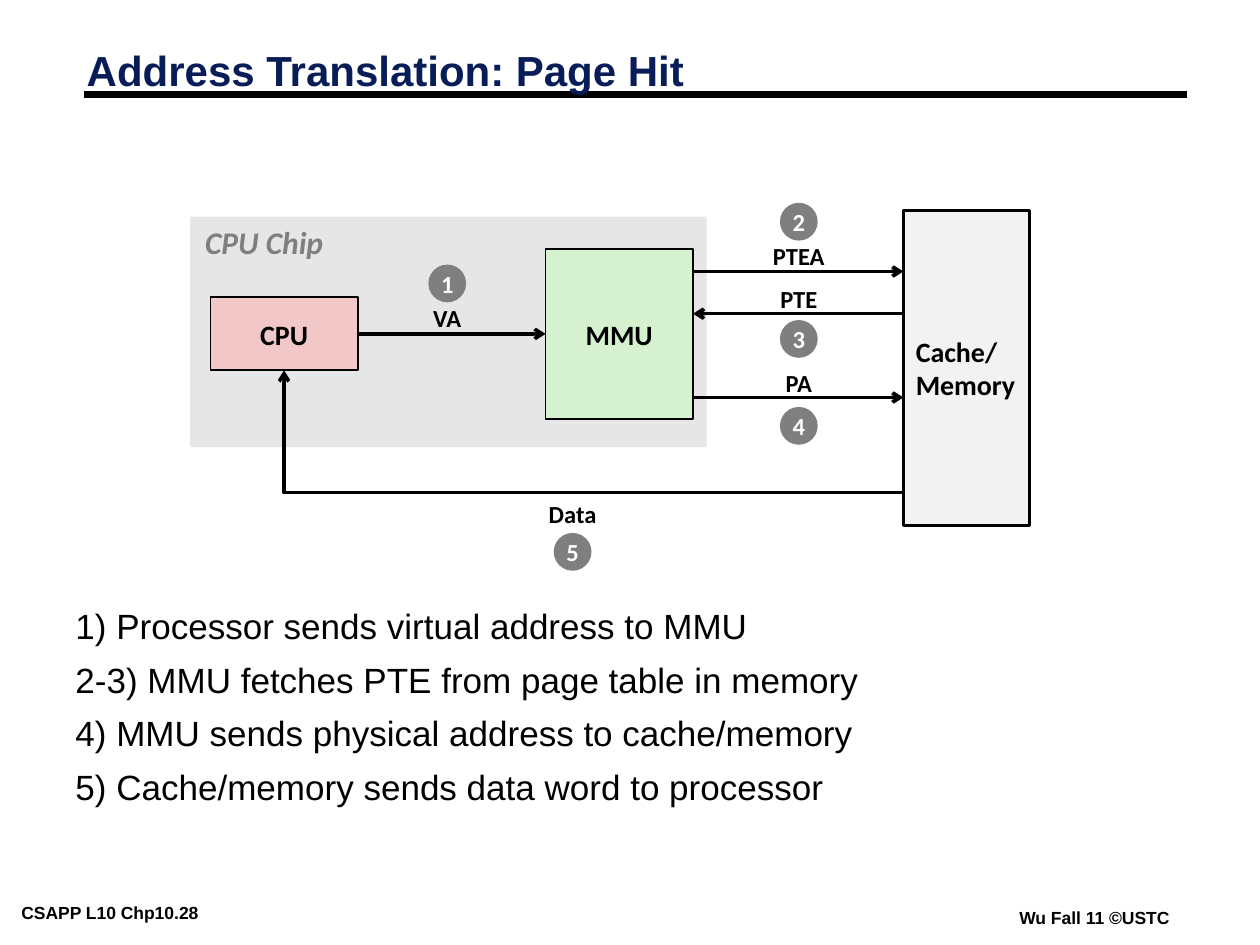
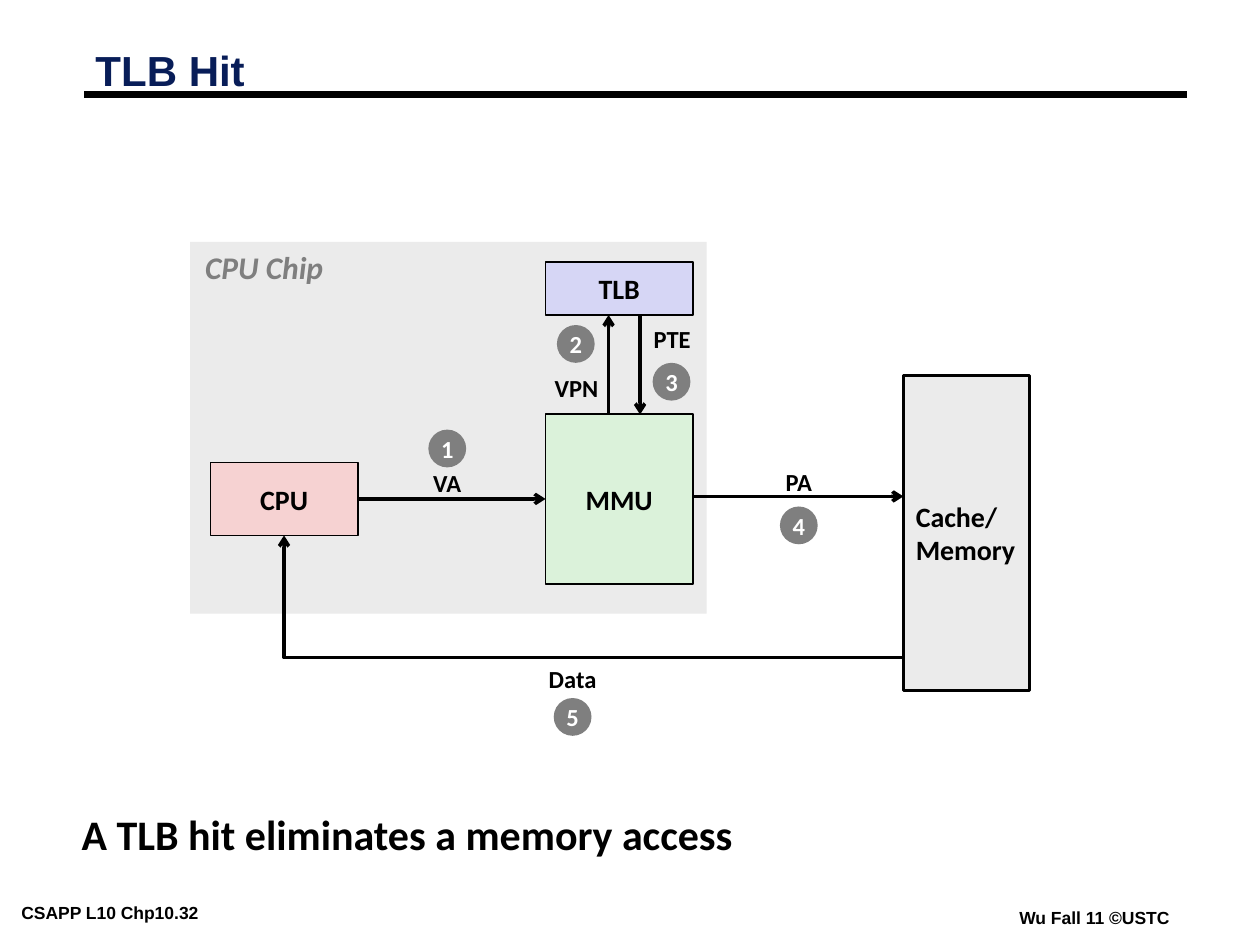
from dataclasses import dataclass

from lxml import etree
from pptx import Presentation
from pptx.dml.color import RGBColor
from pptx.enum.shapes import MSO_CONNECTOR, MSO_SHAPE
from pptx.enum.text import MSO_ANCHOR, PP_ALIGN
from pptx.oxml.ns import qn
from pptx.util import Inches, Pt

RECTANGLE, OVAL = MSO_SHAPE.RECTANGLE, MSO_SHAPE.OVAL
STRAIGHT, ELBOW = MSO_CONNECTOR.STRAIGHT, MSO_CONNECTOR.ELBOW
LEFT, CENTER = PP_ALIGN.LEFT, PP_ALIGN.CENTER
TOP, MIDDLE = MSO_ANCHOR.TOP, MSO_ANCHOR.MIDDLE
SIDE_LEFT, SIDE_RIGHT = 1, 3


@dataclass(frozen=True)
class Theme:
    heading_font: str = "Arial"
    diagram_font: str = "Calibri"
    ink: str = "000000"
    title: str = "081D58"
    gray: str = "7F7F7F"
    white: str = "FFFFFF"
    title_size: int = 24
    body_size: int = 20
    chip_size: int = 18
    box_size: int = 16
    label_size: int = 14
    footer_size: int = 10
    wire: float = 2
    rule: float = 4.5


THEME = Theme()
WIDTH, HEIGHT = Inches(10), Inches(7.5)
COLUMNS, ROWS = 100, 75

# Positions are columns and rows of a 100 by 75 grid.
# Wires: start column, start row, end column, end row.
# Labels and badges: text, centre column, centre row.
CPU_X, MMU_X, MEMORY_X = 16.7, 43.3, 71.7
BOX_WIDTH, CPU_HEIGHT, MMU_HEIGHT = 11.7, 5.8, 13.5
MMU_RIGHT = MMU_X + BOX_WIDTH
VA_X, BUS_X, DATA_X = 35.5, 63.4, 45.45
LABEL_WIDTH, LABEL_HEIGHT, BADGE_SIZE = 9, 3.3, 3

PAGES = [
    {
        "title": "Address Translation: Page Hit",
        "title_x": 5.9,
        "footer": "CSAPP L10 Chp10.28",
        "cpu_y": 23.6,
        "chip": (17.2, 18.3),
        "fills": {"chip": "E6E6E6", "cpu": "F1C7C7", "mmu": "D5F1CF", "memory": "F2F2F2"},
        "wires": [
            (MMU_RIGHT, 21.55, MEMORY_X, 21.55),
            (MEMORY_X, 24.9, MMU_RIGHT, 24.9),
            (MMU_RIGHT, 31.55, MEMORY_X, 31.55),
        ],
        "labels": [("PTEA", BUS_X, 20.4), ("PTE", BUS_X, 23.8), ("PA", BUS_X, 30.45)],
        "badges": [("2", BUS_X, 17.6), ("3", BUS_X, 26.9), ("4", BUS_X, 33.8)],
        "notes": [
            "1) Processor sends virtual address to MMU",
            "2-3) MMU fetches PTE from page table in memory",
            "4) MMU sends physical address to cache/memory",
            "5) Cache/memory sends data word to processor",
        ],
        "notes_box": (5, 48.3, 74.2, 22.5),
        "notes_style": {"font": THEME.heading_font, "size": THEME.body_size,
                        "spacing": 0.75, "gap": 12.5},
    },
    {
        "title": "TLB Hit",
        "title_x": 6.6,
        "footer": "CSAPP L10 Chp10.32",
        "cpu_y": 36.7,
        "chip": (19.2, 29.5),
        "fills": {"chip": "EBEBEB", "cpu": "F6D2D2", "mmu": "DBF2DA", "memory": "EBEBEB",
                  "tlb": "D6D6F5"},
        "tlb": (MMU_X, 20.8, BOX_WIDTH, 4.2),
        "wires": [
            (MMU_RIGHT, 39.4, MEMORY_X, 39.4),
            (48.3, 32.9, 48.3, 25),
            (50.8, 25, 50.8, 32.9),
        ],
        "labels": [("PA", BUS_X, 38.35), ("PTE", 53.35, 26.95), ("VPN", 45.75, 30.85)],
        "badges": [("2", 45.7, 27.3), ("3", 53.3, 30.3), ("4", BUS_X, 41.7)],
        "notes": ["A TLB hit eliminates a memory access"],
        "notes_box": (5.5, 63.7, 78.6, 6.3),
        "notes_style": {"font": THEME.diagram_font, "size": THEME.title_size, "bold": True},
    },
]


def across(columns):
    return round(WIDTH * columns / COLUMNS)


def down(rows):
    return round(HEIGHT * rows / ROWS)


def place(x, y, width, height):
    return across(x), down(y), across(width), down(height)


def centered(x, y, width, height):
    return x - width / 2, y - height / 2, width, height


def color(value):
    return RGBColor.from_string(value)


def write(shape, lines, size, font=THEME.diagram_font, ink=THEME.ink, bold=True,
          italic=False, align=LEFT, anchor=TOP, spacing=1.0, gap=0, wrap=False):
    frame = shape.text_frame
    frame.word_wrap = wrap
    frame.vertical_anchor = anchor
    for index, line in enumerate(lines):
        paragraph = frame.add_paragraph() if index else frame.paragraphs[0]
        paragraph.text = line
        paragraph.alignment = align
        paragraph.line_spacing = spacing
        if index:
            paragraph.space_before = Pt(gap)
        paragraph.font.name = font
        paragraph.font.size = Pt(size)
        paragraph.font.bold = bold
        paragraph.font.italic = italic
        paragraph.font.color.rgb = color(ink)


def add_text(slide, box, lines, size, **style):
    shape = slide.shapes.add_textbox(*place(*box))
    write(shape, lines, size, **style)
    return shape


def add_block(slide, box, fill, lines=(), kind=RECTANGLE, outline=0,
              size=THEME.box_size, ink=THEME.ink, align=CENTER):
    shape = slide.shapes.add_shape(kind, *place(*box))
    shape.shadow.inherit = False
    shape.fill.solid()
    shape.fill.fore_color.rgb = color(fill)
    if outline:
        shape.line.color.rgb = color(THEME.ink)
        shape.line.width = Pt(outline)
    else:
        shape.line.fill.background()
    write(shape, lines, size, ink=ink, align=align, anchor=MIDDLE)
    return shape


def add_line(slide, ends, width=THEME.wire, kind=STRAIGHT, arrow=True):
    x1, y1, x2, y2 = ends
    line = slide.shapes.add_connector(kind, across(x1), down(y1), across(x2), down(y2))
    line.line.color.rgb = color(THEME.ink)
    line.line.width = Pt(width)
    properties = line._element.spPr
    if arrow:
        etree.SubElement(properties.find(qn("a:ln")), qn("a:tailEnd"), type="arrow")
    if kind == ELBOW:
        # One corner only
        properties.find(qn("a:prstGeom")).set("prst", "bentConnector2")
    etree.SubElement(properties, qn("a:effectLst"))
    return line


def add_frame(slide, page):
    """Title, rule and footers."""
    for text, x, y, width in ((page["footer"], 1, 71.3, 21),
                              ("Wu Fall 11 ©USTC", 80.2, 71.7, 13.8)):
        footer = add_text(slide, (x, y, width, 2.2), [text], THEME.footer_size,
                          font=THEME.heading_font)
        frame = footer.text_frame
        frame.margin_left = frame.margin_right = Inches(0.07)
        frame.margin_top = frame.margin_bottom = Inches(0.03)
    add_line(slide, (6.7, 7.5, 94.2, 7.5), width=THEME.rule, arrow=False)
    add_text(slide, (page["title_x"], 3.6, 93, 4.5), [page["title"]], THEME.title_size,
             font=THEME.heading_font, ink=THEME.title, anchor=MIDDLE, spacing=0.87, wrap=True)


def add_diagram(slide, page):
    fills, cpu_y = page["fills"], page["cpu_y"]
    cpu_middle = cpu_y + CPU_HEIGHT / 2
    chip_y, chip_height = page["chip"]
    data_y = cpu_middle + 12.6

    # Chip and its units
    add_block(slide, (15.1, chip_y, 41, chip_height), fills["chip"])
    add_text(slide, (15.3, chip_y, 11.4, 4), ["CPU Chip"], THEME.chip_size,
             ink=THEME.gray, italic=True)
    cpu = add_block(slide, (CPU_X, cpu_y, BOX_WIDTH, CPU_HEIGHT), fills["cpu"],
                    ["CPU"], outline=1)
    mmu = add_block(slide, (MMU_X, cpu_middle - MMU_HEIGHT / 2, BOX_WIDTH, MMU_HEIGHT),
                    fills["mmu"], ["MMU"], outline=1)
    add_block(slide, (MEMORY_X, cpu_y - 6.9, 10, 25), fills["memory"],
              ["Cache/", "Memory"], outline=1.5, align=LEFT)
    if "tlb" in page:
        add_block(slide, page["tlb"], fills["tlb"], ["TLB"], outline=1)

    # Wires
    address = add_line(slide, (CPU_X + BOX_WIDTH, cpu_middle, MMU_X, cpu_middle))
    address.begin_connect(cpu, SIDE_RIGHT)
    address.end_connect(mmu, SIDE_LEFT)
    add_line(slide, (MEMORY_X, data_y, CPU_X + BOX_WIDTH / 2, cpu_y + CPU_HEIGHT), kind=ELBOW)
    for ends in page["wires"]:
        add_line(slide, ends)

    # Signal names and step numbers
    labels = [("VA", VA_X, cpu_middle - 1.2), ("Data", DATA_X, data_y + 1.75)]
    for text, x, y in labels + page["labels"]:
        add_text(slide, centered(x, y, LABEL_WIDTH, LABEL_HEIGHT), [text], THEME.label_size,
                 align=CENTER, anchor=MIDDLE, spacing=0.98)
    badges = [("1", VA_X, cpu_middle - 4), ("5", DATA_X, data_y + 4.7)]
    for text, x, y in badges + page["badges"]:
        add_block(slide, centered(x, y, BADGE_SIZE, BADGE_SIZE), THEME.gray, [text],
                  kind=OVAL, size=THEME.label_size, ink=THEME.white)


def main():
    presentation = Presentation()
    presentation.slide_width, presentation.slide_height = WIDTH, HEIGHT
    blank = presentation.slide_layouts[6]
    for page in PAGES:
        slide = presentation.slides.add_slide(blank)
        add_frame(slide, page)
        add_diagram(slide, page)
        style = {"bold": False, "wrap": True, **page["notes_style"]}
        add_text(slide, page["notes_box"], page["notes"], **style)
    presentation.save("out.pptx")


if __name__ == "__main__":
    main()
